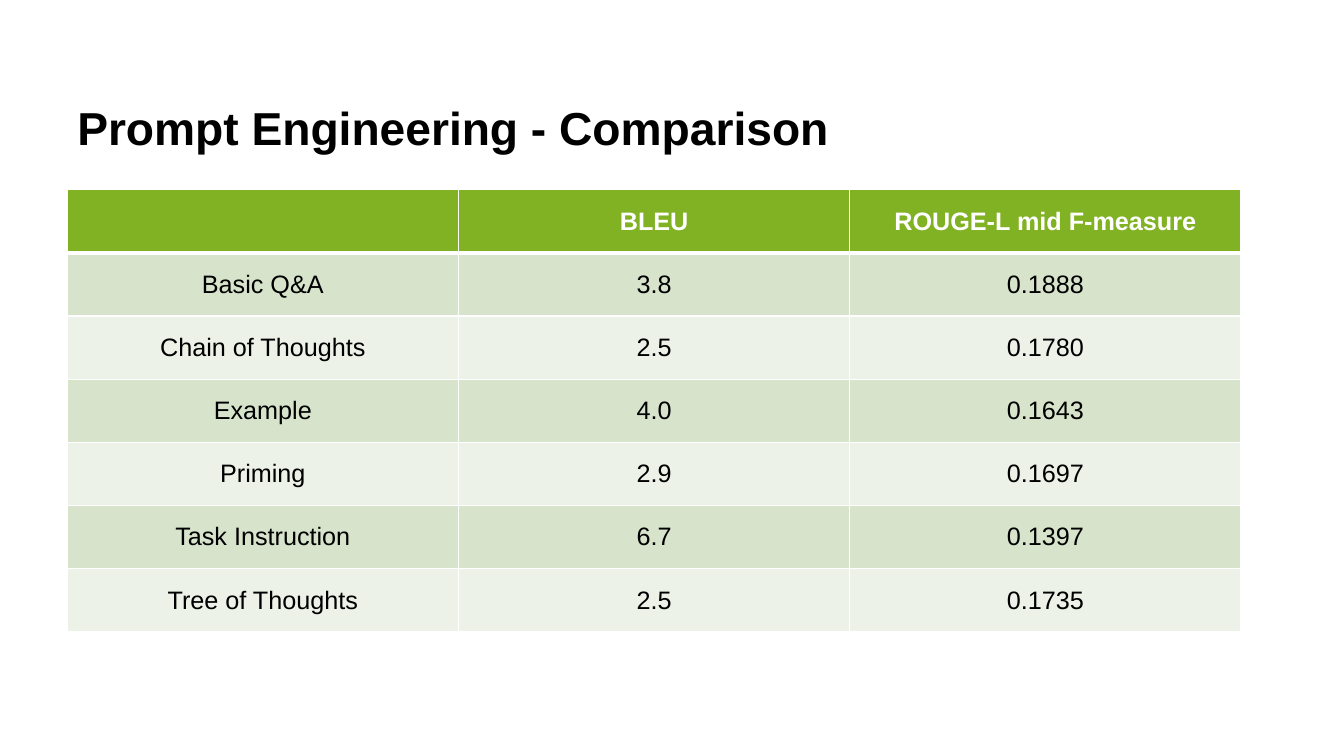
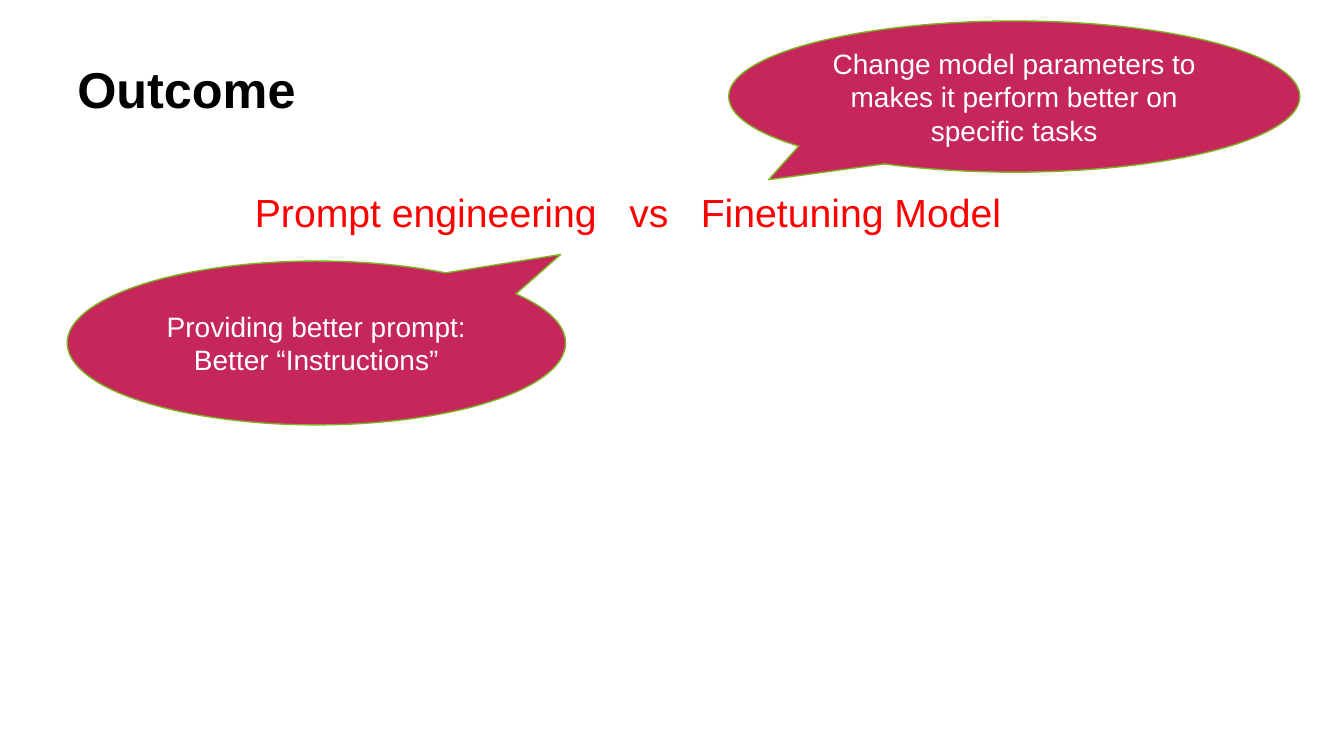
from dataclasses import dataclass

from lxml import etree
from pptx import Presentation
from pptx import util as u
from pptx.dml import color as c
from pptx.enum import shapes, text
from pptx.oxml import ns

FONT = "Arial"
BLACK, WHITE, RED = "000000", "FFFFFF", "FF0000"
GREEN, CRIMSON = "81B223", "C5275A"
BANDS = ("D7E4CB", "ECF2E7")
LEFT, CONTENT_WIDTH = 48, 838.5
TITLE_ONLY = 5

SCORES = (
    ("", "BLEU", "ROUGE-L mid F-measure"),
    ("Basic Q&A", "3.8", "0.1888"),
    ("Chain of Thoughts", "2.5", "0.1780"),
    ("Example", "4.0", "0.1643"),
    ("Priming", "2.9", "0.1697"),
    ("Task Instruction", "6.7", "0.1397"),
    ("Tree of Thoughts", "2.5", "0.1735"),
)


@dataclass(frozen=True)
class Callout:
    wording: str
    left: float
    top: float
    width: float
    height: float
    tip: tuple[float, float]  # offset from the centre, as a share of the size


CALLOUTS = (
    Callout("Providing better prompt: Better “Instructions”",
            LEFT, 186.5, 356, 117, (0.49, -0.54)),
    Callout("Change model parameters to makes it perform better on specific tasks",
            520.5, 15, 408, 108, (-0.43, 0.55)),
)


def rgb(code: str) -> c.RGBColor:
    return c.RGBColor.from_string(code)


def write(frame, wording: str, *, size: float, color: str = BLACK, bold: bool = False,
          align=text.PP_ALIGN.LEFT, spacing: float = 1.0):
    """Fill the first paragraph of a text frame and return it."""
    frame.word_wrap = True
    para = frame.paragraphs[0]
    para.alignment = align
    para.line_spacing = spacing
    span = para.add_run()
    span.text = wording
    span.font.name = FONT
    span.font.size = u.Pt(size)
    span.font.bold = bold
    span.font.color.rgb = rgb(color)
    return para


def add_page(deck, title: str, *, top: float, height: float, size: float):
    page = deck.slides.add_slide(deck.slide_layouts[TITLE_ONLY])
    box = page.shapes.title
    box.left, box.top = u.Pt(LEFT), u.Pt(top)
    box.width, box.height = u.Pt(CONTENT_WIDTH), u.Pt(height)
    frame = box.text_frame
    frame.auto_size = text.MSO_AUTO_SIZE.NONE
    frame.vertical_anchor = text.MSO_ANCHOR.TOP
    write(frame, title, size=size, bold=True, spacing=0.9)
    return page


def set_borders(cell, *, top: float, bottom: float) -> None:
    """Draw white cell borders, 1 pt wide at the sides."""
    properties = cell._tc.get_or_add_tcPr()
    for side, width in (("L", 1), ("R", 1), ("T", top), ("B", bottom)):
        line = etree.SubElement(properties, ns.qn(f"a:ln{side}"), w=str(int(u.Pt(width))))
        fill = etree.SubElement(line, ns.qn("a:solidFill"))
        etree.SubElement(fill, ns.qn("a:srgbClr"), val=WHITE)


def add_score_table(page, *, top: float, row_height: float) -> None:
    columns = len(SCORES[0])
    table = page.shapes.add_table(
        len(SCORES), columns, u.Pt(LEFT), u.Pt(top),
        u.Pt(CONTENT_WIDTH), u.Pt(row_height * len(SCORES))).table
    for column in table.columns:
        column.width = u.Pt(CONTENT_WIDTH / columns)
    for i, values in enumerate(SCORES):
        table.rows[i].height = u.Pt(row_height)
        header = i == 0
        for j, value in enumerate(values):
            cell = table.cell(i, j)
            set_borders(cell, top=3 if i == 1 else 1, bottom=3 if header else 1)
            cell.fill.solid()
            cell.fill.fore_color.rgb = rgb(GREEN if header else BANDS[(i - 1) % 2])
            cell.vertical_anchor = text.MSO_ANCHOR.MIDDLE
            if value:
                write(cell.text_frame, value, size=18, bold=header,
                      color=WHITE if header else BLACK, align=text.PP_ALIGN.CENTER)


def add_tab_stops(para, *positions: float) -> None:
    stops = etree.SubElement(para._p.get_or_add_pPr(), ns.qn("a:tabLst"))
    for position in positions:
        etree.SubElement(stops, ns.qn("a:tab"), pos=str(int(u.Pt(position))), algn="l")


def add_callout(page, callout: Callout) -> None:
    shape = page.shapes.add_shape(
        shapes.MSO_SHAPE.OVAL_CALLOUT, u.Pt(callout.left), u.Pt(callout.top),
        u.Pt(callout.width), u.Pt(callout.height))
    shape.adjustments[0], shape.adjustments[1] = callout.tip
    shape.shadow.inherit = False
    shape.fill.solid()
    shape.fill.fore_color.rgb = rgb(CRIMSON)
    shape.line.color.rgb = rgb(GREEN)
    shape.line.width = u.Pt(1)
    shape.text_frame.vertical_anchor = text.MSO_ANCHOR.MIDDLE
    write(shape.text_frame, callout.wording, size=20, color=WHITE,
          align=text.PP_ALIGN.CENTER)


def build_comparison(deck) -> None:
    page = add_page(deck, "Prompt Engineering - Comparison", top=71.5, height=52.5, size=33)
    add_score_table(page, top=135.5, row_height=45.15)


def build_outcome(deck) -> None:
    page = add_page(deck, "Outcome", top=43, height=89.5, size=36)
    box = page.shapes.add_textbox(u.Pt(175), u.Pt(131), u.Pt(659.5), u.Pt(41))
    para = write(box.text_frame, "Prompt engineering\tvs\tFinetuning Model",
                 size=28, color=RED)
    add_tab_stops(para, 267.5, 318.5)
    for callout in CALLOUTS:
        add_callout(page, callout)


def main() -> None:
    deck = Presentation()
    deck.slide_width, deck.slide_height = u.Pt(960), u.Pt(540)
    build_comparison(deck)
    build_outcome(deck)
    deck.save("out.pptx")


if __name__ == "__main__":
    main()
